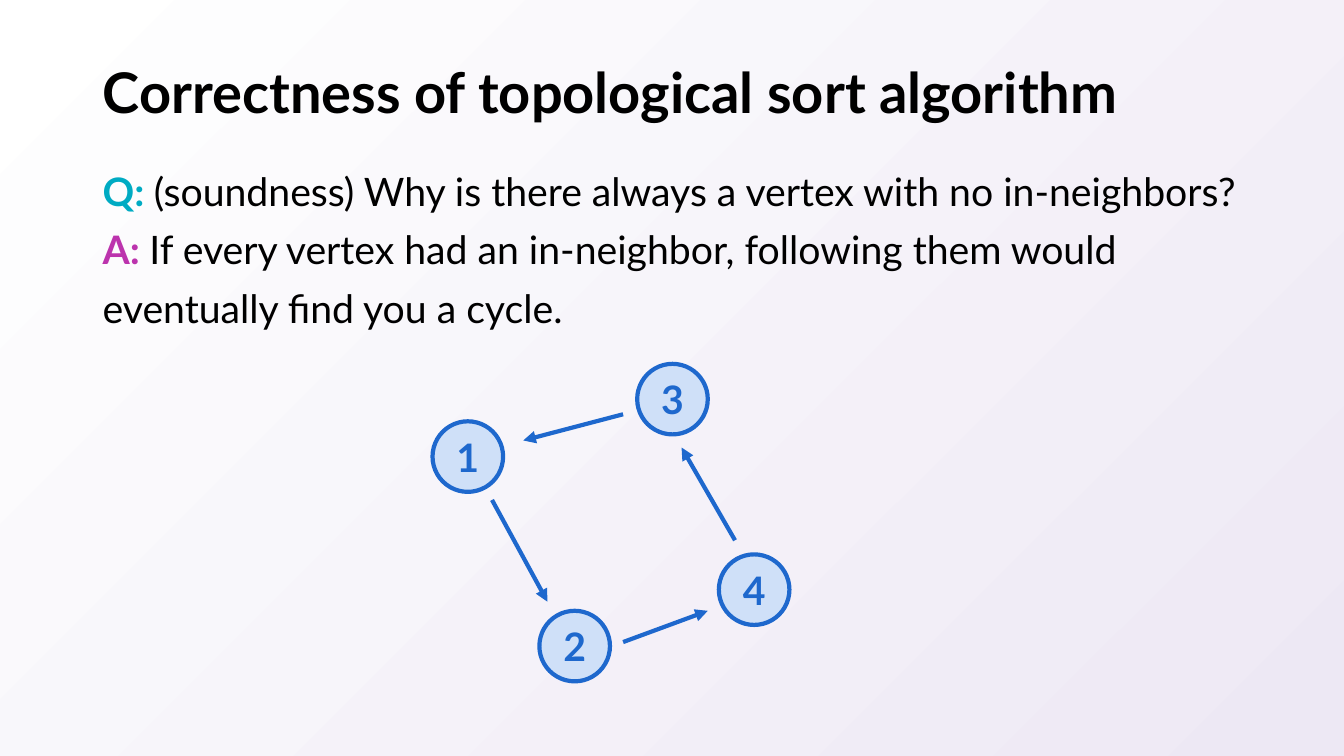
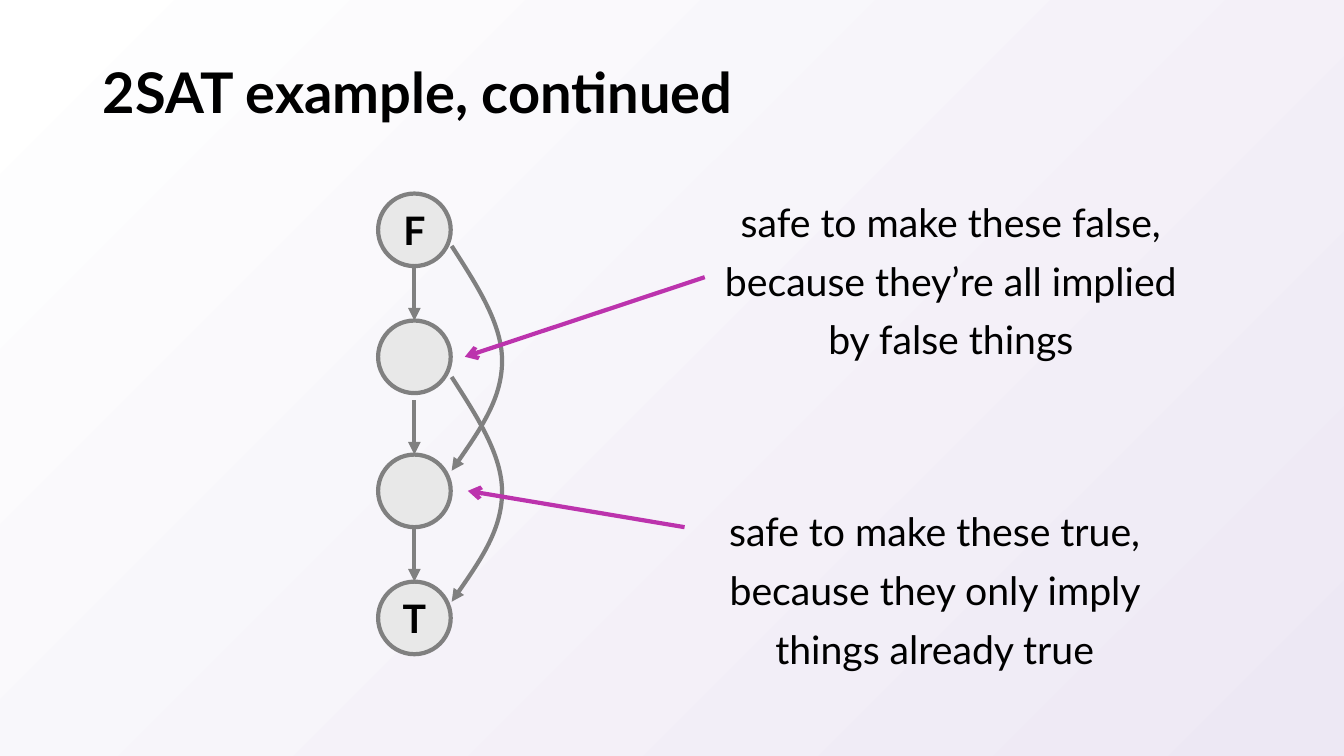
"""Build two slides: topological sort correctness and a 2SAT example."""
from lxml import etree
from pptx import Presentation
from pptx.dml.color import RGBColor
from pptx.enum.shapes import MSO_CONNECTOR, MSO_SHAPE
from pptx.enum.text import MSO_ANCHOR, MSO_AUTO_SIZE, PP_ALIGN
from pptx.oxml.ns import qn
from pptx.util import Inches, Pt

FONT = "Lato"
BLACK = RGBColor(0x00, 0x00, 0x00)
WHITE = RGBColor(0xFF, 0xFF, 0xFF)
LAVENDER = RGBColor(0xED, 0xE8, 0xF4)
TEAL = RGBColor(0x00, 0xAB, 0xC3)
MAGENTA = RGBColor(0xBC, 0x33, 0xAD)
BLUE = RGBColor(0x1E, 0x68, 0xCD)
PALE_BLUE = RGBColor(0xCF, 0xE0, 0xF8)
GRAY = RGBColor(0x80, 0x80, 0x80)
PALE_GRAY = RGBColor(0xE8, 0xE8, 0xE8)

QA = [
    ("Q: ", TEAL, "(soundness) Why is there always a vertex with no in-neighbors?"),
    ("A: ", MAGENTA, "If every vertex had an in-neighbor, following them would "
                     "eventually find you a cycle."),
]
CYCLE_SIZE = 0.7
CYCLE_NODES = [("3", 6.32, 3.61), ("1", 4.29, 4.18), ("4", 7.13, 5.5), ("2", 5.35, 6.06)]
CYCLE_EDGES = [
    ((6.18, 4.11), (5.19, 4.37)),
    ((4.88, 4.96), (5.43, 5.97)),
    ((6.18, 6.37), (7.02, 6.06)),
    ((7.29, 5.36), (6.76, 4.44)),
]

CHAIN_LEFT, CHAIN_SIZE, CHAIN_GAP = 3.75, 0.72, 0.54
CHAIN_NODES = [("F", 1.92), ("", 3.18), ("", 4.51), ("T", 5.77)]
ARC_TOPS = [2.44, 3.74]
ARC_LEFT = 4.48
ARC_OFFSETS = [(0, 0), (0.25, 0.39), (0.5, 0.77), (0.5, 1.14),
               (0.5, 1.51), (0.25, 1.87), (0, 2.23)]
NOTES = [
    ("safe to make these true, because they only imply things already true",
     (7.09, 4.87, 4.36, 1.8), (6.79, 5.23), (4.64, 4.87)),
    ("safe to make these false, because they’re all implied by false things",
     (7.09, 1.8, 4.68, 1.8), (6.99, 2.75), (4.61, 3.54)),
]


def set_font(p, size, color=BLACK, bold=False):
    f = p.font
    f.name, f.size, f.bold = FONT, Pt(size), bold
    f.color.rgb = color


def style_line(sp, color, head):
    sp.line.color.rgb = color
    sp.line.width = Pt(3)
    ln = sp.line._get_or_add_ln()
    etree.SubElement(ln, qn("a:tailEnd"), type=head)


def add_slide(prs, title):
    s = prs.slides.add_slide(prs.slide_layouts[5])
    sp = s.shapes.title
    sp.left, sp.top, sp.width, sp.height = map(Inches, (0.92, 0.4, 11.5, 1.09))
    tf = sp.text_frame
    tf.text = title
    tf.auto_size = MSO_AUTO_SIZE.NONE
    tf.vertical_anchor = MSO_ANCHOR.MIDDLE
    p = tf.paragraphs[0]
    p.alignment = PP_ALIGN.LEFT
    p.line_spacing = 0.9
    set_font(p, 40, bold=True)
    return s


def add_text(s, box):
    tf = s.shapes.add_textbox(*map(Inches, box)).text_frame
    tf.word_wrap = True
    return tf


def add_node(s, label, left, top, size, fill, line, color):
    sp = s.shapes.add_shape(MSO_SHAPE.OVAL, *map(Inches, (left, top, size, size)))
    sp.shadow.inherit = False
    sp.fill.solid()
    sp.fill.fore_color.rgb = fill
    sp.line.color.rgb = line
    sp.line.width = Pt(3)
    if label:
        tf = sp.text_frame
        tf.margin_left = tf.margin_right = 0
        tf.vertical_anchor = MSO_ANCHOR.MIDDLE
        tf.text = label
        p = tf.paragraphs[0]
        p.alignment = PP_ALIGN.CENTER
        set_font(p, 28, color, True)


def add_arrow(s, start, end, color, head="triangle"):
    sp = s.shapes.add_connector(MSO_CONNECTOR.STRAIGHT, *map(Inches, start + end))
    style_line(sp, color, head)
    etree.SubElement(sp._element.spPr, qn("a:effectLst"))


def add_arc(s, left, top):
    """Draw two joined cubic curves through the arc's control points."""
    pts = [(Inches(left + dx), Inches(top + dy)) for dx, dy in ARC_OFFSETS]
    fb = s.shapes.build_freeform(*pts[0])
    fb.add_line_segments(pts[1:], close=False)
    sp = fb.convert_to_shape()
    segments = list(sp._element.iter(qn("a:lnTo")))
    for i in range(0, len(segments), 3):
        curve = segments[i]
        curve.tag = qn("a:cubicBezTo")
        for seg in segments[i + 1:i + 3]:
            curve.append(seg[0])
            seg.getparent().remove(seg)
    sp.shadow.inherit = False
    sp.fill.background()
    style_line(sp, GRAY, "triangle")


def build_cycle(prs):
    s = add_slide(prs, "Correctness of topological sort algorithm")
    tf = add_text(s, (0.92, 1.49, 11.5, 2))
    for i, (tag, color, text) in enumerate(QA):
        p = tf.add_paragraph() if i else tf.paragraphs[0]
        p.line_spacing = 1.25
        set_font(p, 28)
        r = p.add_run()
        r.text = tag
        r.font.bold = True
        r.font.color.rgb = color
        p.add_run().text = text
    for label, left, top in CYCLE_NODES:
        add_node(s, label, left, top, CYCLE_SIZE, PALE_BLUE, BLUE, BLUE)
    for start, end in CYCLE_EDGES:
        add_arrow(s, start, end, BLUE)


def build_chain(prs):
    s = add_slide(prs, "2SAT example, continued")
    for label, top in CHAIN_NODES:
        add_node(s, label, CHAIN_LEFT, top, CHAIN_SIZE, PALE_GRAY, GRAY, BLACK)
    x = CHAIN_LEFT + CHAIN_SIZE / 2
    for _, top in CHAIN_NODES[1:]:
        add_arrow(s, (x, top - CHAIN_GAP), (x, top), GRAY)
    for top in ARC_TOPS:
        add_arc(s, ARC_LEFT, top)
    for text, box, start, end in NOTES:
        tf = add_text(s, box)
        tf.text = text
        p = tf.paragraphs[0]
        p.alignment = PP_ALIGN.CENTER
        p.line_spacing = 1.25
        set_font(p, 28)
        add_arrow(s, start, end, MAGENTA, "arrow")


def main():
    prs = Presentation()
    prs.slide_width, prs.slide_height = Inches(13.33), Inches(7.5)
    fill = prs.slide_master.background.fill
    fill.gradient()
    fill.gradient_angle = 315
    for stop, color in zip(fill.gradient_stops, (WHITE, LAVENDER)):
        stop.color.rgb = color
    build_cycle(prs)
    build_chain(prs)
    prs.save("out.pptx")


if __name__ == "__main__":
    main()
